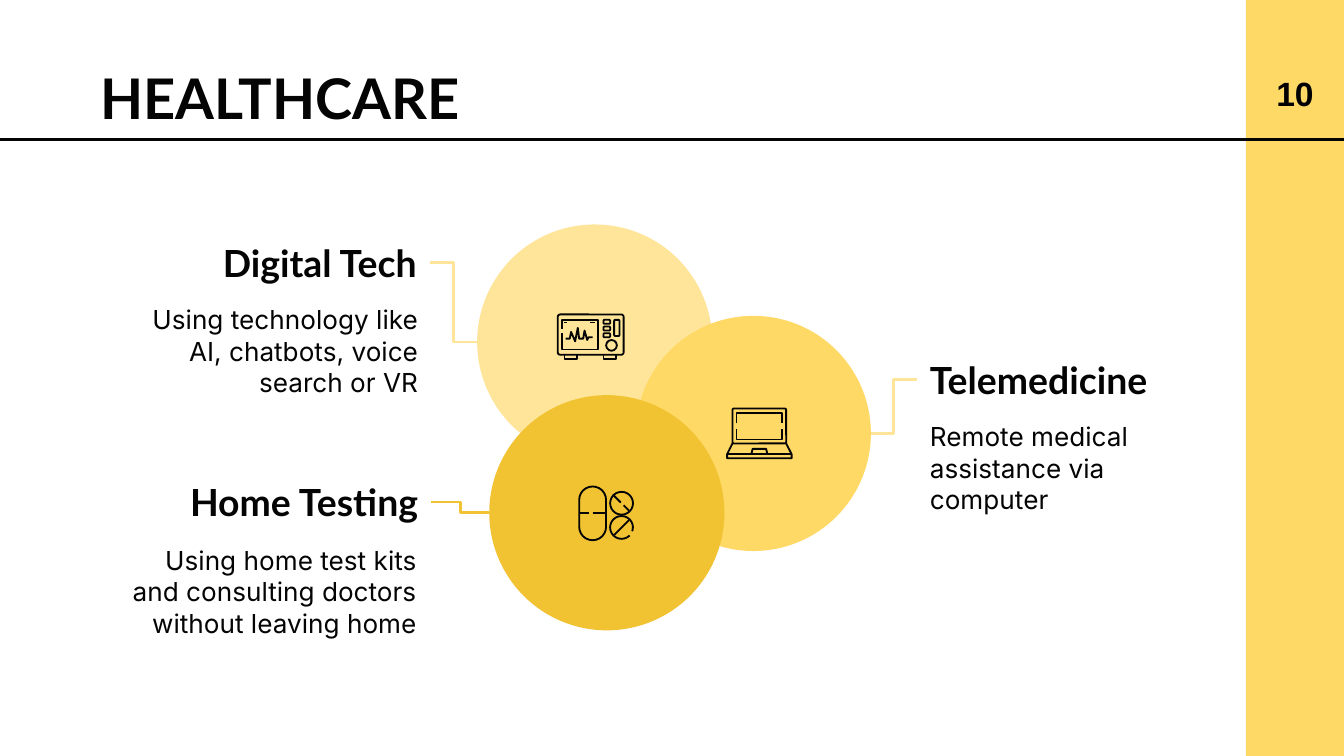
import pptx
import pptx.util
import pptx.dml.color
import pptx.enum.shapes
import pptx.enum.text
import pptx.oxml
import pptx.oxml.ns
from dataclasses import dataclass

Inches = pptx.util.Inches
Pt = pptx.util.Pt
SHAPE = pptx.enum.shapes.MSO_SHAPE
CONNECTOR = pptx.enum.shapes.MSO_CONNECTOR
ALIGN = pptx.enum.text.PP_ALIGN
ANCHOR = pptx.enum.text.MSO_ANCHOR
WIDTH = 10
HEIGHT = WIDTH * 9 / 16


@dataclass(frozen=True)
class Theme:
    ink: str = "040404"
    black: str = "000000"
    light: str = "FFE599"
    medium: str = "FFD966"
    dark: str = "F1C232"
    title_font: str = "Lato"
    body_font: str = "Inter"
    number_font: str = "Arial"
    title_size: int = 30
    heading_size: int = 20
    number_size: int = 18
    body_size: int = 14
    rule_width: float = 1.5
    icon_width: float = 1


def rgb(color):
    return pptx.dml.color.RGBColor.from_string(color)


class Canvas:
    def __init__(self, slide, theme):
        self.slide = slide
        self.theme = theme

    def text(self, box, text, font, size, bold=False, color=None,
             align=ALIGN.LEFT, anchor=ANCHOR.TOP, after=0):
        sp = self.slide.shapes.add_textbox(*map(Inches, box))
        tf = sp.text_frame
        tf.word_wrap = True
        tf.vertical_anchor = anchor
        tf.margin_left = tf.margin_right = Inches(0.1)
        tf.margin_top = tf.margin_bottom = Inches(0.1)
        tf.text = text
        p = tf.paragraphs[0]
        p.alignment = align
        p.space_after = Pt(after)
        r = p.runs[0]
        r.font.name = font
        r.font.size = Pt(size)
        r.font.bold = bold
        r.font.color.rgb = rgb(color or self.theme.ink)
        return sp

    def heading(self, box, text, align):
        t = self.theme
        return self.text(box, text, t.title_font, t.heading_size, bold=True,
                         align=align, anchor=ANCHOR.MIDDLE)

    def body(self, box, text, align):
        t = self.theme
        return self.text(box, text, t.body_font, t.body_size, align=align, after=16)

    def filled(self, kind, box, color):
        sp = self.slide.shapes.add_shape(kind, *map(Inches, box))
        sp.shadow.inherit = False
        sp.fill.solid()
        sp.fill.fore_color.rgb = rgb(color)
        sp.line.fill.background()
        return sp

    def connector(self, kind, start, end, color, width):
        cx = self.slide.shapes.add_connector(kind, *map(Inches, start + end))
        cx.line.color.rgb = rgb(color)
        cx.line.width = Pt(width)
        cx._element.spPr.append(pptx.oxml.parse_xml(
            f"<a:effectLst {pptx.oxml.ns.nsdecls('a')}/>"))
        return cx

    def ink_line(self, sp):
        sp.shadow.inherit = False
        sp.fill.background()
        sp.line.color.rgb = rgb(self.theme.ink)
        sp.line.width = Pt(self.theme.icon_width)

    def outline(self, kind, box, *adjustments):
        sp = self.slide.shapes.add_shape(kind, *map(Inches, box))
        for i, value in enumerate(adjustments):
            sp.adjustments[i] = value
        self.ink_line(sp)
        return sp

    def stroke(self, *points):
        pts = [(Inches(x), Inches(y)) for x, y in points]
        builder = self.slide.shapes.build_freeform(*pts[0])
        builder.add_line_segments(pts[1:], close=False)
        sp = builder.convert_to_shape()
        self.ink_line(sp)
        return sp


def monitor_icon(c):
    c.outline(SHAPE.ROUNDED_RECTANGLE, (4.15, 2.34, 0.49, 0.3), 0.06)
    for x in (4.2, 4.49):
        c.stroke((x, 2.64), (x, 2.67), (x + 0.09, 2.67), (x + 0.09, 2.64))
    c.stroke((4.18, 2.45), (4.18, 2.38), (4.45, 2.38), (4.45, 2.6),
             (4.18, 2.6), (4.18, 2.48))
    c.stroke((4.21, 2.52), (4.24, 2.52), (4.25, 2.47), (4.28, 2.54),
             (4.3, 2.44), (4.31, 2.52), (4.34, 2.52), (4.35, 2.46),
             (4.37, 2.53), (4.38, 2.51), (4.41, 2.51))
    for left, right in ((4.2, 4.22), (4.39, 4.43)):
        c.stroke((left, 2.4), (right, 2.4))
    for row in range(3):
        c.outline(SHAPE.ROUNDED_RECTANGLE, (4.49, 2.38 + 0.05 * row, 0.05, 0.03), 0.3)
    c.outline(SHAPE.ROUNDED_RECTANGLE, (4.57, 2.38, 0.04, 0.12), 0.2)
    c.outline(SHAPE.OVAL, (4.51, 2.53, 0.08, 0.08))


def laptop_icon(c):
    c.outline(SHAPE.ROUNDED_RECTANGLE, (5.45, 3.04, 0.4, 0.26), 0.04)
    c.stroke((5.45, 3.3), (5.41, 3.38), (5.41, 3.41), (5.89, 3.41),
             (5.89, 3.38), (5.85, 3.3))
    c.stroke((5.41, 3.38), (5.89, 3.38))
    c.stroke((5.59, 3.38), (5.6, 3.34), (5.7, 3.34), (5.71, 3.38))
    for edge, gap in ((3.07, 3.15), (3.27, 3.19)):
        c.stroke((5.48, gap), (5.48, edge), (5.82, edge), (5.82, gap))


def pills_icon(c):
    c.outline(SHAPE.ROUNDED_RECTANGLE, (4.31, 3.62, 0.2, 0.4), 0.5)
    for left, right in ((4.31, 4.38), (4.41, 4.51)):
        c.stroke((left, 3.82), (right, 3.82))
    c.outline(SHAPE.OVAL, (4.54, 3.66, 0.17, 0.17))
    c.stroke((4.56, 3.68), (4.62, 3.74))
    c.stroke((4.64, 3.76), (4.68, 3.8))
    c.outline(SHAPE.ARC, (4.54, 3.84, 0.17, 0.17), 27, 12)
    c.stroke((4.57, 3.98), (4.68, 3.87))


def main():
    prs = pptx.Presentation()
    prs.slide_width, prs.slide_height = Inches(WIDTH), Inches(HEIGHT)
    t = Theme()
    c = Canvas(prs.slides.add_slide(prs.slide_layouts[6]), t)

    c.filled(SHAPE.RECTANGLE, (9.27, 0, 0.73, HEIGHT), t.medium)
    c.connector(CONNECTOR.STRAIGHT, (0, 1.04), (WIDTH, 1.04), t.ink, t.rule_width)
    c.text((9.36, 0.48, 0.55, 0.43), "10", t.number_font, t.number_size, bold=True,
           color=t.black, align=ALIGN.CENTER, anchor=ANCHOR.MIDDLE)
    c.text((0.65, 0.37, 3.42, 0.74), "HEALTHCARE", t.title_font, t.title_size, bold=True)

    left, right = ALIGN.LEFT, ALIGN.RIGHT
    topics = [
        ("Digital Tech", (1.23, 1.64, 1.97, 0.63),
         "Using technology like AI, chatbots, voice search or VR",
         (0.99, 2.16, 2.22, 0.96), right, (3.55, 1.67), t.light, t.light),
        ("Telemedicine", (6.82, 2.51, 2.03, 0.63),
         "Remote medical assistance via computer",
         (6.82, 3.03, 1.85, 0.96), left, (4.73, 2.35), t.medium, t.light),
        ("Home Testing", (0.99, 3.42, 2.22, 0.63),
         "Using home test kits and consulting doctors without leaving home",
         (0.8, 3.95, 2.4, 0.96), right, (3.64, 2.94), t.dark, t.dark),
    ]
    diameter = 1.75
    for name, name_box, detail, detail_box, align, (x, y), fill, line in topics:
        c.filled(SHAPE.OVAL, (x, y, diameter, diameter), fill)
        heading = c.heading(name_box, name, align)
        c.body(detail_box, detail, align)
        hx, hy, hw, hh = name_box
        if align == right:
            start_x, end_x, side = hx + hw, x, 3
        else:
            start_x, end_x, side = hx, x + diameter, 1
        cx = c.connector(CONNECTOR.ELBOW, (start_x, hy + hh / 2),
                         (end_x, y + diameter / 2), line, t.rule_width)
        cx.begin_connect(heading, side)

    monitor_icon(c)
    laptop_icon(c)
    pills_icon(c)
    prs.save("out.pptx")


if __name__ == "__main__":
    main()
